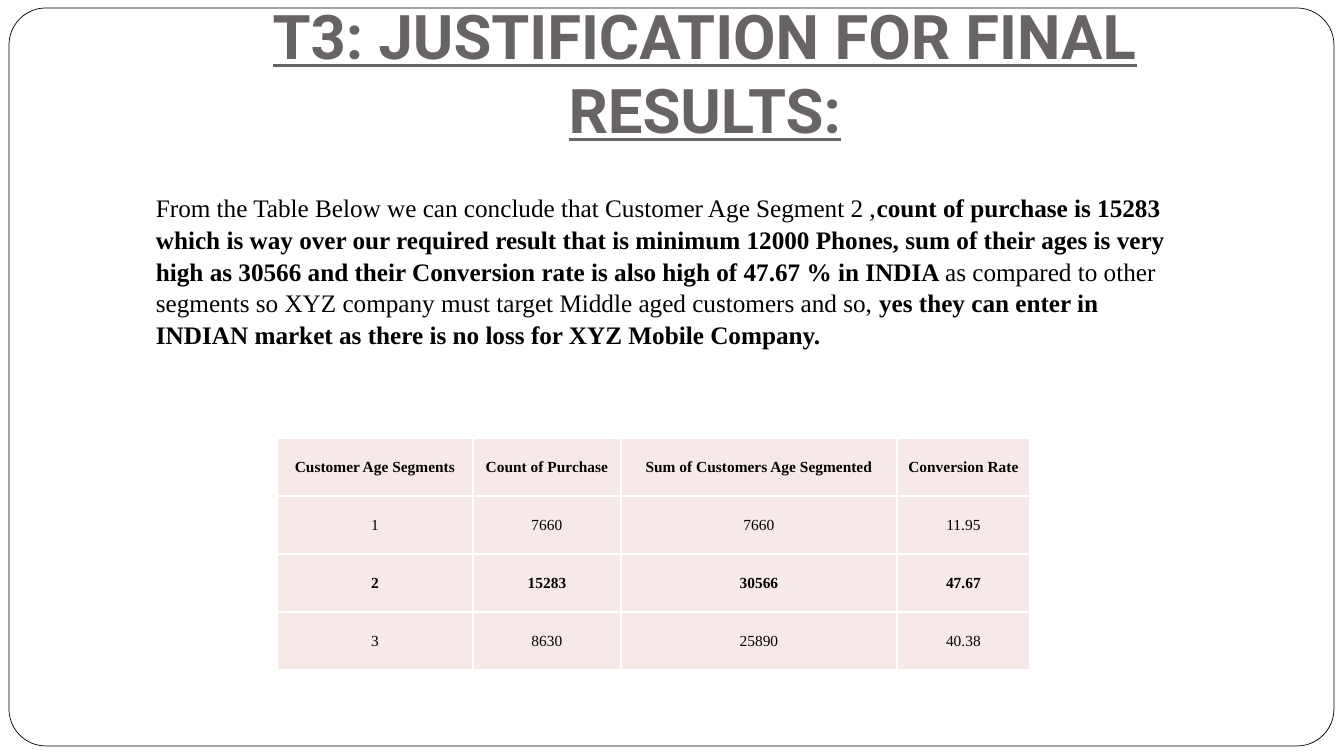
import pptx
import pptx.dml.color
import pptx.enum.shapes
import pptx.enum.text
import pptx.oxml
import pptx.oxml.ns
import pptx.util

PIXEL = 914400 / 100.8
BLACK = pptx.dml.color.RGBColor(0x00, 0x00, 0x00)
WHITE = pptx.dml.color.RGBColor(0xFF, 0xFF, 0xFF)
GREY = pptx.dml.color.RGBColor(0x69, 0x64, 0x64)
PINK = pptx.dml.color.RGBColor(0xF7, 0xE9, 0xE8)
CENTER = pptx.enum.text.PP_ALIGN.CENTER

TITLE = "T3: JUSTIFICATION FOR FINAL RESULTS:"
CONCLUSION = [
    ("From the Table Below we can conclude that Customer Age Segment 2 ,", False),
    ("count of purchase is 15283 which is way over our required result that is "
     "minimum 12000 Phones, sum of their ages is very high as 30566 and their "
     "Conversion rate is also high of 47.67 % in INDIA ", True),
    ("as compared to other segments so XYZ company must target Middle aged "
     "customers and so, ", False),
    ("yes they can enter in INDIAN market as there is no loss for XYZ Mobile "
     "Company. ", True),
]
SEGMENT_ROWS = [
    ("Customer Age Segments", "Count of Purchase",
     "Sum of Customers Age Segmented", "Conversion Rate"),
    ("1", "7660", "7660", "11.95"),
    ("2", "15283", "30566", "47.67"),
    ("3", "8630", "25890", "40.38"),
]
BOLD_ROWS = (0, 2)
COLUMN_WIDTHS = (196, 148, 276, 133)
ROW_HEIGHT = 58


def emu(pixels):
    """Convert whole pixels to EMU."""
    return pptx.util.Emu(round(pixels * PIXEL))


class SlideBuilder:
    """Holds the style and the current slide."""

    heading_font = "Roboto"
    text_font = "Times New Roman"

    def __init__(self, slide):
        """Keep the slide to draw on."""
        self.slide = slide

    def add_run(self, paragraph, text, size, bold=False, font=text_font, color=BLACK):
        """Add one formatted run and return it."""
        run = paragraph.add_run()
        run.text = text
        run.font.name = font
        run.font.size = pptx.util.Pt(size)
        run.font.bold = bold
        run.font.color.rgb = color
        return run

    def frame(self, left, top, width, height):
        """Draw the rounded frame behind everything else."""
        shape = self.slide.shapes.add_shape(
            pptx.enum.shapes.MSO_SHAPE.ROUNDED_RECTANGLE,
            emu(left), emu(top), emu(width), emu(height))
        shape.adjustments[0] = 0.05
        shape.shadow.inherit = False
        shape.fill.solid()
        shape.fill.fore_color.rgb = WHITE
        shape.line.color.rgb = BLACK
        shape.line.width = pptx.util.Pt(0.5)
        self.slide.shapes._spTree.insert(2, shape._element)

    def title(self, text, left, top, width, height):
        """Place and format the title placeholder."""
        shape = self.slide.shapes.title
        shape.left, shape.top = emu(left), emu(top)
        shape.width, shape.height = emu(width), emu(height)
        text_frame = shape.text_frame
        text_frame.auto_size = pptx.enum.text.MSO_AUTO_SIZE.NONE
        text_frame.vertical_anchor = pptx.enum.text.MSO_ANCHOR.BOTTOM
        text_frame.margin_bottom = emu(10)
        paragraph = text_frame.paragraphs[0]
        paragraph.alignment = CENTER
        run = self.add_run(paragraph, text, 44, True, self.heading_font, GREY)
        run.font.underline = True

    def paragraph(self, runs, left, top, width, height):
        """Add a wrapped text box with plain and bold runs."""
        box = self.slide.shapes.add_textbox(
            emu(left), emu(top), emu(width), emu(height))
        box.text_frame.word_wrap = True
        paragraph = box.text_frame.paragraphs[0]
        paragraph.line_spacing = 1.05
        for text, bold in runs:
            self.add_run(paragraph, text, 18, bold)

    def border_cell(self, cell):
        """Give a cell thin white borders, ahead of its fill."""
        properties = cell._tc.get_or_add_tcPr()
        for index, side in enumerate(("lnL", "lnR", "lnT", "lnB")):
            border = pptx.oxml.parse_xml(
                f'<a:{side} {pptx.oxml.ns.nsdecls("a")} w="12700"><a:solidFill>'
                f'<a:srgbClr val="{WHITE}"/></a:solidFill></a:{side}>')
            properties.insert(index, border)

    def table(self, rows, left, top):
        """Add the table of customer segments."""
        table = self.slide.shapes.add_table(
            len(rows), len(COLUMN_WIDTHS), emu(left), emu(top),
            emu(sum(COLUMN_WIDTHS)), emu(ROW_HEIGHT * len(rows))).table
        table.horz_banding = False
        for column, width in zip(table.columns, COLUMN_WIDTHS):
            column.width = emu(width)
        for row_index, values in enumerate(rows):
            table.rows[row_index].height = emu(ROW_HEIGHT)
            for column_index, value in enumerate(values):
                cell = table.cell(row_index, column_index)
                cell.fill.solid()
                cell.fill.fore_color.rgb = PINK
                cell.vertical_anchor = pptx.enum.text.MSO_ANCHOR.MIDDLE
                cell.margin_left = cell.margin_right = cell.margin_top = emu(1)
                cell.margin_bottom = 0
                self.border_cell(cell)
                paragraph = cell.text_frame.paragraphs[0]
                paragraph.alignment = CENTER
                self.add_run(paragraph, value, 11, row_index in BOLD_ROWS)


def main():
    """Build the slide and save it."""
    presentation = pptx.Presentation()
    presentation.slide_width = emu(1344)
    presentation.slide_height = emu(756)
    title_only = presentation.slide_layouts[5]
    builder = SlideBuilder(presentation.slides.add_slide(title_only))
    builder.frame(9, 8, 1325, 738)
    builder.title(TITLE, 134, 30, 1142, 126)
    builder.table(SEGMENT_ROWS, 277, 438)
    builder.paragraph(CONCLUSION, 146, 186, 1041, 163)
    presentation.save("out.pptx")


main()
